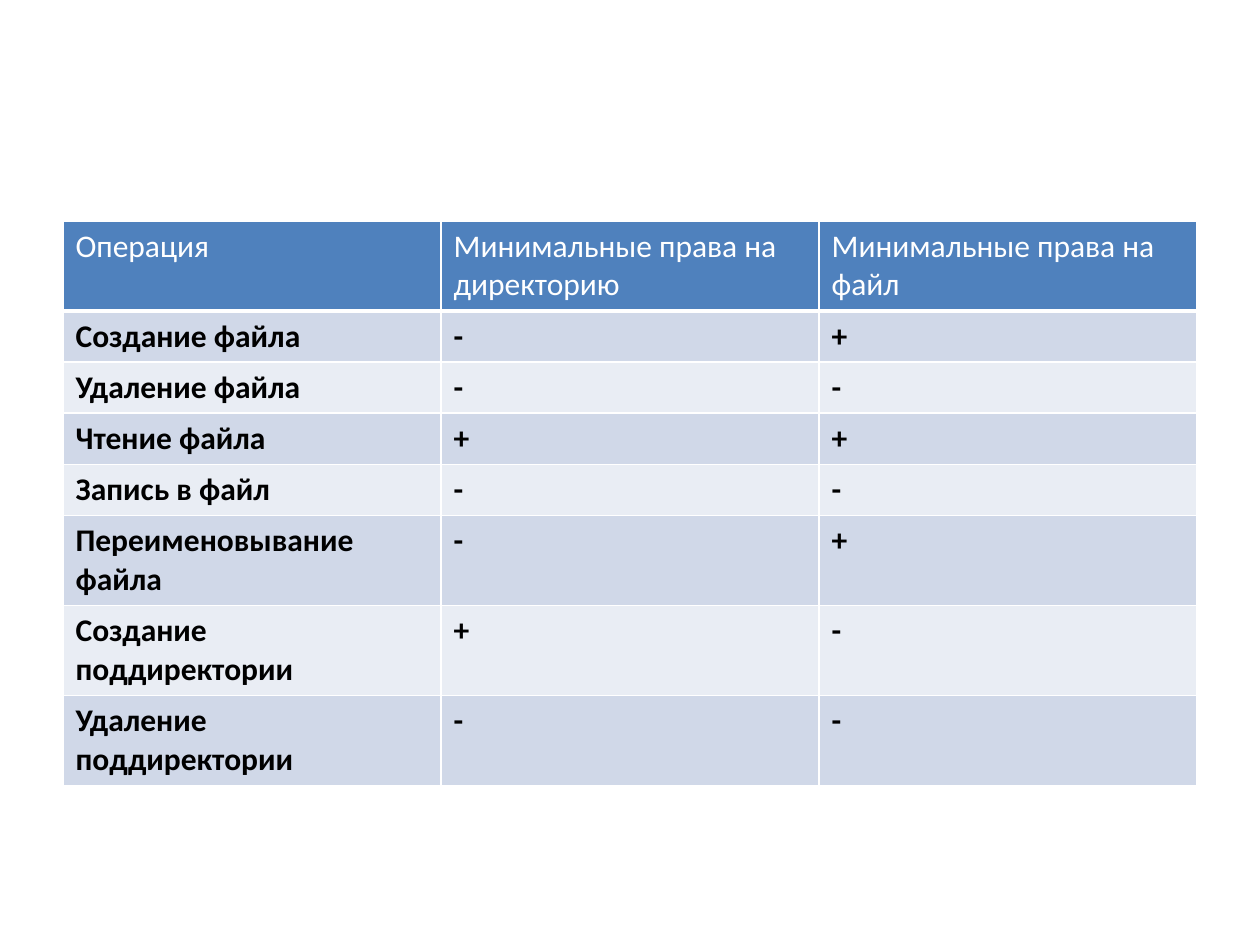
from lxml.etree import SubElement
from pptx import Presentation
from pptx.dml.color import RGBColor
from pptx.oxml.ns import qn
from pptx.util import Emu, Pt

WHITE = RGBColor(0xFF, 0xFF, 0xFF)
BLACK = RGBColor(0x00, 0x00, 0x00)
BLUE = RGBColor(0x4F, 0x81, 0xBD)
BANDS = (RGBColor(0xE9, 0xED, 0xF4), RGBColor(0xD0, 0xD8, 0xE8))

HEADER = {"size": Pt(18), "name": "Calibri", "bold": False}
BODY = {**HEADER, "bold": True}

SINGLE_LINE, DOUBLE_LINE = 51, 90
RIGHTS = [
    (DOUBLE_LINE, "Операция", "Минимальные права на директорию", "Минимальные права на файл"),
    (SINGLE_LINE, "Создание файла", "-", "+"),
    (SINGLE_LINE, "Удаление файла", "-", "-"),
    (SINGLE_LINE, "Чтение файла", "+", "+"),
    (SINGLE_LINE, "Запись в файл", "-", "-"),
    (DOUBLE_LINE, "Переименовывание файла", "-", "+"),
    (DOUBLE_LINE, "Создание поддиректории", "+", "-"),
    (DOUBLE_LINE, "Удаление поддиректории", "-", "-"),
]


def px(n):
    return Emu(round(n * 914400 / 126))


def set_borders(cell, color, widths):
    tc_pr = cell._tc.get_or_add_tcPr()
    for i, (side, width) in enumerate(widths.items()):
        ln = SubElement(tc_pr, qn(f"a:{side}"), w=str(Pt(width)))
        fill = SubElement(ln, qn("a:solidFill"))
        SubElement(fill, qn("a:srgbClr"), val=str(color))
        tc_pr.remove(ln)
        tc_pr.insert(i, ln)


def write_cell(cell, text, fill, color, font, bottom):
    cell.fill.solid()
    cell.fill.fore_color.rgb = fill
    set_borders(cell, WHITE, {"lnL": 1, "lnR": 1, "lnT": 1, "lnB": bottom})
    r = cell.text_frame.paragraphs[0].add_run()
    r.text = text
    for name, value in font.items():
        setattr(r.font, name, value)
    r.font.color.rgb = color


def add_rights_table(s, left, top, width):
    columns = len(RIGHTS[0]) - 1
    height = sum(row[0] for row in RIGHTS)
    table = s.shapes.add_table(
        len(RIGHTS), columns, px(left), px(top), px(width), px(height)
    ).table
    for column in table.columns:
        column.width = px(width // columns)
    for i, (row_height, *texts) in enumerate(RIGHTS):
        table.rows[i].height = px(row_height)
        style = (BANDS[i % 2], BLACK, BODY, 1) if i else (BLUE, WHITE, HEADER, 3)
        for j, text in enumerate(texts):
            write_cell(table.cell(i, j), text, *style)


def main():
    prs = Presentation()
    prs.slide_width, prs.slide_height = px(1260), px(945)
    s = prs.slides.add_slide(prs.slide_layouts[6])
    add_rights_table(s, 63, 221, 1134)
    prs.save("out.pptx")


if __name__ == "__main__":
    main()
